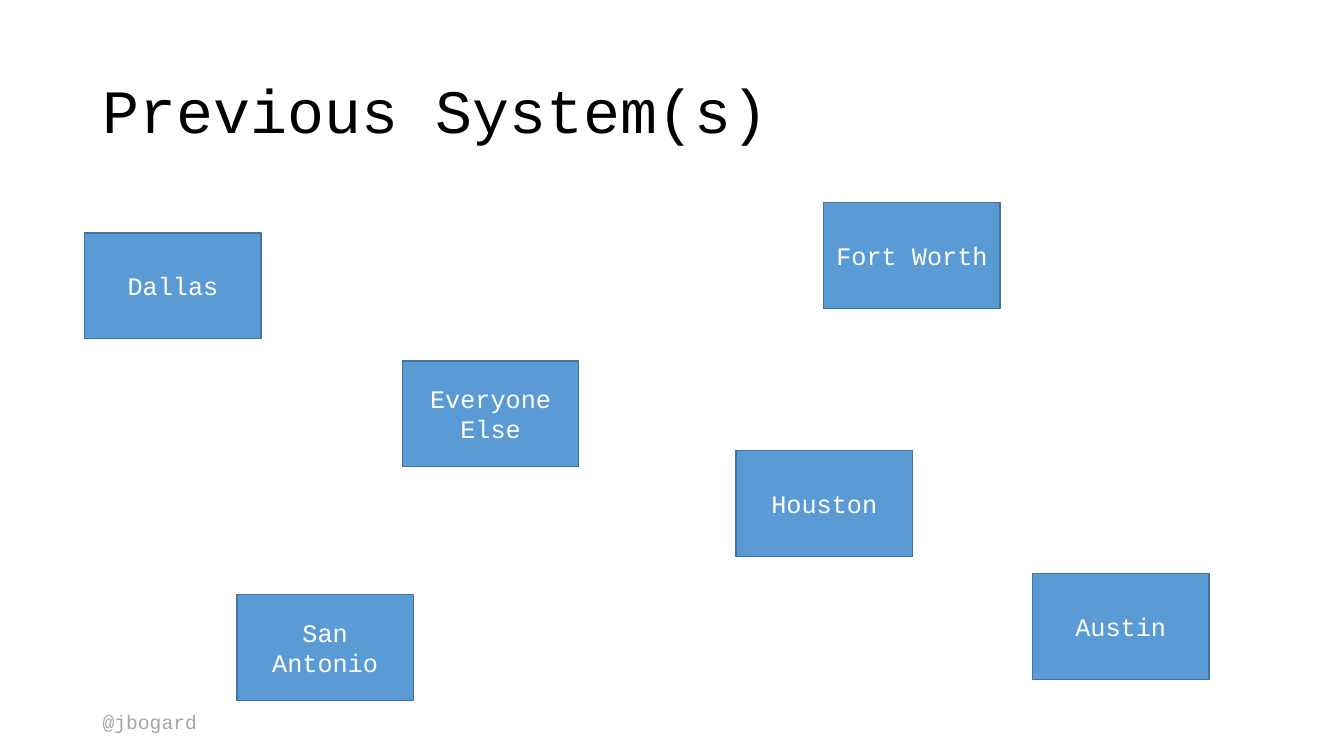
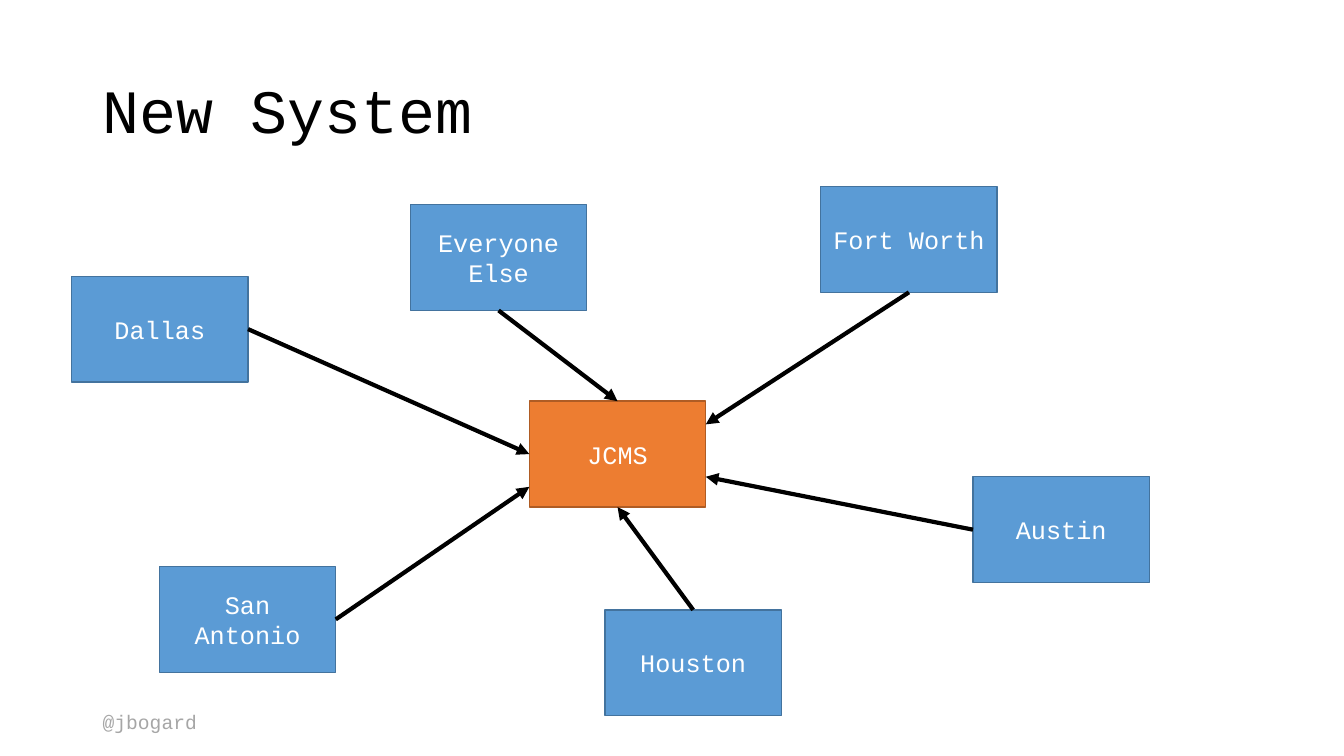
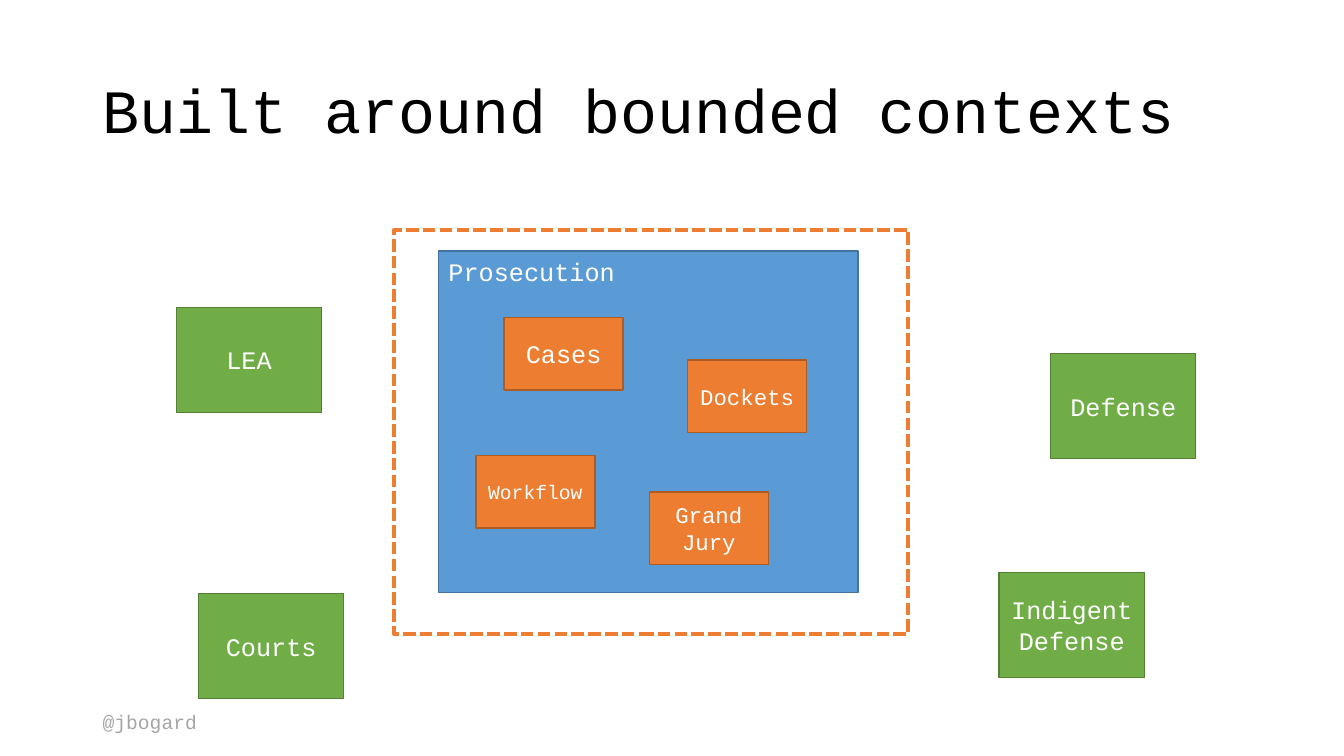
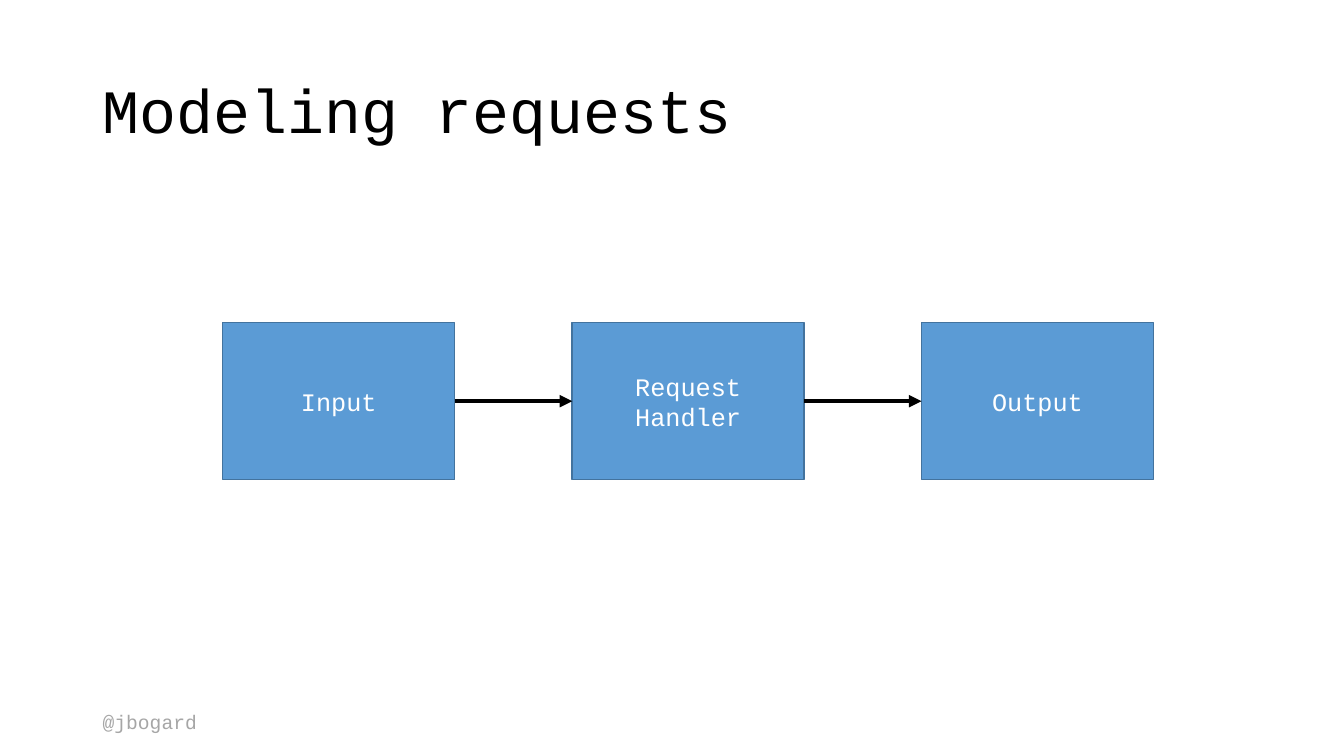
"""Build four slides on moving county systems to bounded contexts."""
from dataclasses import dataclass
from typing import Optional

import lxml.etree
import pptx
import pptx.dml.color
import pptx.enum.dml
import pptx.enum.shapes
import pptx.enum.text
import pptx.oxml.ns
import pptx.util

Inches = pptx.util.Inches
Pt = pptx.util.Pt
ALIGN = pptx.enum.text.PP_ALIGN
ANCHOR = pptx.enum.text.MSO_ANCHOR
FONT = "Courier New"
BLACK, WHITE, GREY = "000000", "FFFFFF", "A6A6A6"
ORANGE = "ED7D31"
TOP, LEFT, BOTTOM, RIGHT = range(4)


@dataclass(frozen=True)
class Style:
    fill: str
    line: str
    width: float
    height: float


@dataclass(frozen=True)
class Box:
    text: str
    left: float
    top: float
    style: Style
    size: int = 18


@dataclass(frozen=True)
class Arrow:
    source: str
    source_side: int
    x: float = 0
    y: float = 0
    target_side: Optional[int] = None


COUNTY = Style("5B9BD5", "43739E", 1.75, 1.05)
HUB = Style(ORANGE, "AF5C24", 1.75, 1.05)
CONTEXT = Style("5B9BD5", "43739E", 4.16, 3.39)
MODULE = Style(ORANGE, "AF5C24", 1.18, 0.72)
PARTNER = Style("70AD47", "538035", 1.44, 1.04)
STEP = Style("5B9BD5", "43739E", 2.3, 1.56)

PREVIOUS = [
    Box("Dallas", 0.84, 2.31, COUNTY),
    Box("Fort Worth", 8.17, 2.01, COUNTY),
    Box("San Antonio", 2.35, 5.9, COUNTY),
    Box("Houston", 7.3, 4.47, COUNTY),
    Box("Everyone Else", 3.99, 3.58, COUNTY),
    Box("Austin", 10.24, 5.69, COUNTY),
]
NEW = [
    Box("Dallas", 0.71, 2.74, COUNTY),
    Box("Fort Worth", 8.14, 1.85, COUNTY),
    Box("San Antonio", 1.58, 5.62, COUNTY),
    Box("Houston", 6, 6.05, COUNTY),
    Box("Everyone Else", 4.07, 2.03, COUNTY),
    Box("Austin", 9.65, 4.73, COUNTY),
    Box("JCMS", 5.25, 3.98, HUB),
]
TO_HUB = [
    Arrow("Dallas", RIGHT, target_side=LEFT),
    Arrow("San Antonio", RIGHT, 5.25, 4.83),
    Arrow("Houston", TOP, target_side=BOTTOM),
    Arrow("Everyone Else", BOTTOM, target_side=TOP),
    Arrow("Fort Worth", BOTTOM, 7, 4.21),
    Arrow("Austin", LEFT, 7, 4.73),
]
CONTEXTS = [
    Box("Cases", 5, 3.15, MODULE),
    Box("Workflow", 4.72, 4.52, MODULE, 14),
    Box("Dockets", 6.82, 3.57, MODULE, 16),
    Box("Grand Jury", 6.44, 4.88, MODULE, 16),
    Box("LEA", 1.75, 3.05, PARTNER),
    Box("Courts", 1.97, 5.89, PARTNER),
    Box("Defense", 10.42, 3.51, PARTNER),
    Box("Indigent Defense", 9.91, 5.68, PARTNER),
]
STEP_LEFT, STEP_PITCH = 2.21, (9.14 - 2.21) / 2
STEPS = [
    Box(text, STEP_LEFT + i * STEP_PITCH, 3.2, STEP)
    for i, text in enumerate(["Input", "Request Handler", "Output"])
]


def rgb(value: str) -> pptx.dml.color.RGBColor:
    return pptx.dml.color.RGBColor.from_string(value)


def write(sp, text: str, size: int, color: str, align=ALIGN.LEFT, anchor=ANCHOR.TOP):
    tf = sp.text_frame
    tf.word_wrap = True
    tf.vertical_anchor = anchor
    tf.text = text
    p = tf.paragraphs[0]
    p.alignment = align
    r = p.runs[0]
    r.font.name = FONT
    r.font.size = Pt(size)
    r.font.color.rgb = rgb(color)
    return p


def add_text(s, left: float, top: float, width: float, height: float,
             text: str, size: int, color: str, anchor=ANCHOR.TOP):
    sp = s.shapes.add_textbox(Inches(left), Inches(top), Inches(width), Inches(height))
    return write(sp, text, size, color, anchor=anchor)


def add_slide(prs, title: str):
    s = prs.slides.add_slide(prs.slide_layouts[6])
    add_text(s, 0.92, 6.99, 1.46, 0.34, "@jbogard", 14, GREY)
    p = add_text(s, 0.92, 0.4, 11.5, 1.45, title, 44, BLACK, ANCHOR.MIDDLE)
    p.line_spacing = 0.9
    return s


def add_rect(s, left: float, top: float, width: float, height: float,
             line: str, weight: float):
    sp = s.shapes.add_shape(pptx.enum.shapes.MSO_SHAPE.RECTANGLE, Inches(left),
                            Inches(top), Inches(width), Inches(height))
    sp.shadow.inherit = False
    sp.line.color.rgb = rgb(line)
    sp.line.width = Pt(weight)
    return sp


def add_box(s, box: Box, align=ALIGN.CENTER, anchor=ANCHOR.MIDDLE):
    style = box.style
    sp = add_rect(s, box.left, box.top, style.width, style.height, style.line, 1)
    sp.fill.solid()
    sp.fill.fore_color.rgb = rgb(style.fill)
    write(sp, box.text, box.size, WHITE, align, anchor)
    return sp


def add_boxes(s, boxes: list[Box]) -> dict:
    return {box.text: add_box(s, box) for box in boxes}


def add_arrow(s, shapes: dict, arrow: Arrow, target) -> None:
    end = Inches(arrow.x), Inches(arrow.y)
    cxn = s.shapes.add_connector(pptx.enum.shapes.MSO_CONNECTOR.STRAIGHT, *end, *end)
    cxn.begin_connect(shapes[arrow.source], arrow.source_side)
    if arrow.target_side is not None:
        cxn.end_connect(target, arrow.target_side)
    cxn.line.color.rgb = rgb(BLACK)
    cxn.line.width = Pt(3)
    qn = pptx.oxml.ns.qn
    lxml.etree.SubElement(cxn.line._get_or_add_ln(), qn("a:tailEnd"), type="triangle")
    lxml.etree.SubElement(cxn._element.spPr, qn("a:effectLst"))


def main() -> None:
    prs = pptx.Presentation()
    prs.slide_width, prs.slide_height = Inches(13.33), Inches(7.5)

    add_boxes(add_slide(prs, "Previous System(s)"), PREVIOUS)

    s = add_slide(prs, "New System")
    shapes = add_boxes(s, NEW)
    for arrow in TO_HUB:
        add_arrow(s, shapes, arrow, shapes["JCMS"])

    s = add_slide(prs, "Built around bounded contexts")
    add_box(s, Box("Prosecution", 4.35, 2.49, CONTEXT), ALIGN.LEFT, ANCHOR.TOP)
    add_boxes(s, CONTEXTS)
    boundary = add_rect(s, 3.91, 2.28, 5.1, 4.01, ORANGE, 3)
    boundary.fill.background()
    boundary.line.dash_style = pptx.enum.dml.MSO_LINE.SQUARE_DOT

    s = add_slide(prs, "Modeling requests")
    shapes = add_boxes(s, STEPS)
    for source, target in zip(STEPS, STEPS[1:]):
        add_arrow(s, shapes, Arrow(source.text, RIGHT, target_side=LEFT),
                  shapes[target.text])

    prs.save("out.pptx")


if __name__ == "__main__":
    main()
